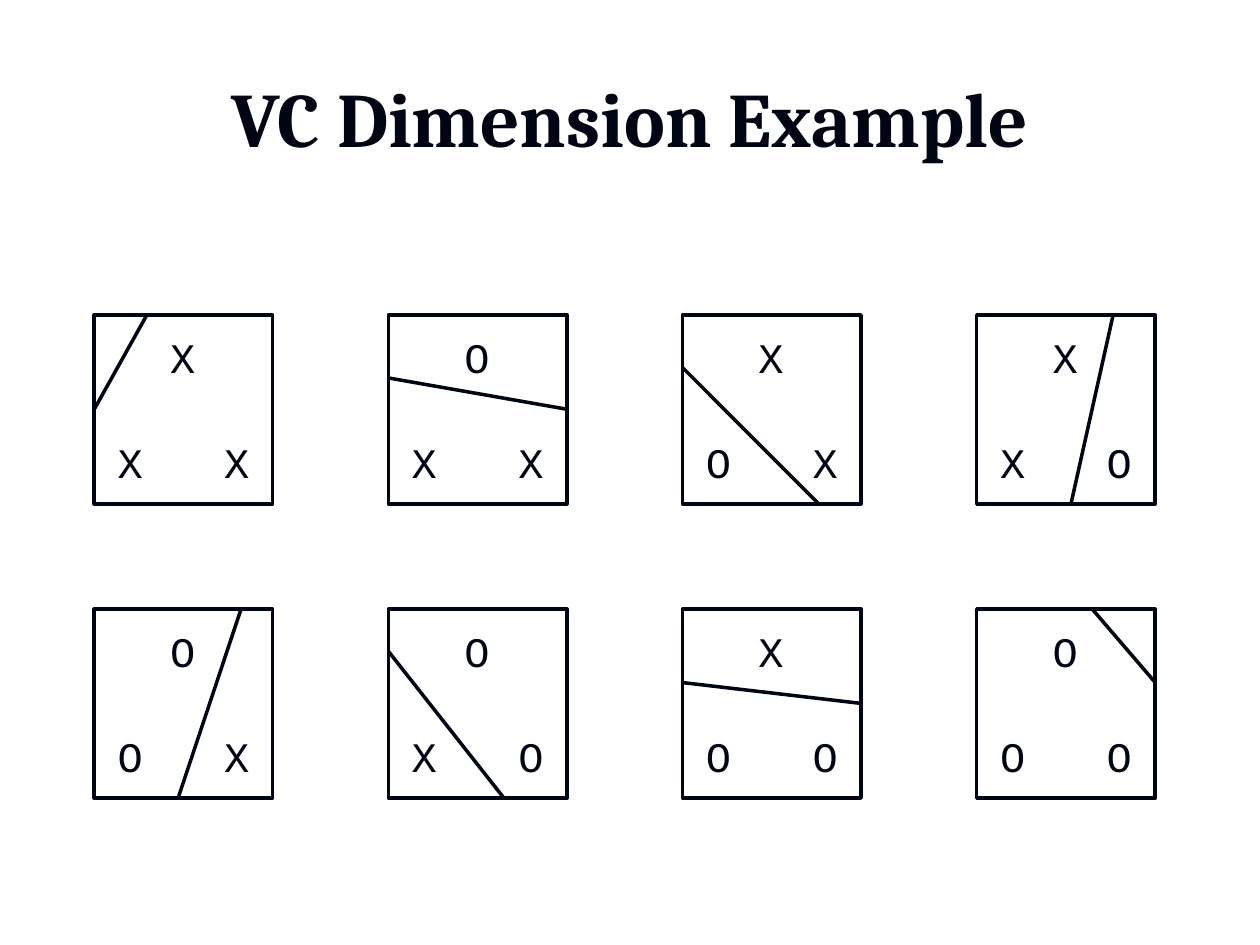
"""Build a slide showing how lines separate every labelling of three points."""
import dataclasses

import lxml.etree
import pptx
import pptx.dml.color
import pptx.enum.shapes
import pptx.enum.text
import pptx.oxml.ns
import pptx.util

Cm = pptx.util.Cm


@dataclasses.dataclass(frozen=True)
class Theme:
    ink: pptx.dml.color.RGBColor = pptx.dml.color.RGBColor(0x00, 0x05, 0x14)
    title_font: str = "Cambria"
    label_font: str = "Courier New"
    title_size: int = 44
    label_size: int = 24
    line_width: int = 2


class Board:
    def __init__(self, slide, theme):
        self.shapes = slide.shapes
        self.theme = theme

    def style_line(self, line):
        line.color.rgb = self.theme.ink
        line.width = pptx.util.Pt(self.theme.line_width)

    def text(self, wording, left, top, width, height, font, size):
        box = self.shapes.add_textbox(Cm(left), Cm(top), Cm(width), Cm(height))
        frame = box.text_frame
        frame.text = wording
        run_font = frame.paragraphs[0].runs[0].font
        run_font.name = font
        run_font.size = pptx.util.Pt(size)
        run_font.color.rgb = self.theme.ink
        return frame

    def title(self, wording, left, top, width, height):
        frame = self.text(wording, left, top, width, height,
                          self.theme.title_font, self.theme.title_size)
        frame.word_wrap = True
        frame.vertical_anchor = pptx.enum.text.MSO_ANCHOR.MIDDLE
        heading = frame.paragraphs[0]
        heading.alignment = pptx.enum.text.PP_ALIGN.CENTER
        heading.runs[0].font.bold = True

    def label(self, letter, left, top):
        frame = self.text(letter, left, top, 1.02, 1.27,
                          self.theme.label_font, self.theme.label_size)
        frame.word_wrap = False
        frame.auto_size = pptx.enum.text.MSO_AUTO_SIZE.SHAPE_TO_FIT_TEXT

    def square(self, left, top, width, height):
        square = self.shapes.add_shape(
            pptx.enum.shapes.MSO_SHAPE.RECTANGLE,
            Cm(left), Cm(top), Cm(width), Cm(height))
        square.shadow.inherit = False
        square.fill.background()
        self.style_line(square.line)

    def separator(self, x1, y1, x2, y2):
        separator = self.shapes.add_connector(
            pptx.enum.shapes.MSO_CONNECTOR.STRAIGHT,
            Cm(x1), Cm(y1), Cm(x2), Cm(y2))
        self.style_line(separator.line)
        lxml.etree.SubElement(separator.element.spPr,
                              pptx.oxml.ns.qn("a:effectLst"))


PANEL_WIDTH, PANEL_HEIGHT = 3.6, 3.81
GRID_LEFT, GRID_TOP, PITCH, COLUMNS = 1.9, 6.35, 5.93, 4
POINTS = [(1.28, 0.21), (0.22, 2.33), (2.37, 2.33)]
LABELLINGS = [
    ("XXX", (1.06, 0, 0, 1.9)),
    ("OXX", (0, 1.27, PANEL_WIDTH, 1.9)),
    ("XOX", (0, 1.06, 2.75, PANEL_HEIGHT)),
    ("XXO", (1.9, PANEL_HEIGHT, 2.75, 0)),
    ("OOX", (2.96, 0, 1.69, PANEL_HEIGHT)),
    ("OXO", (0, 0.85, 2.33, PANEL_HEIGHT)),
    ("XOO", (0, 1.48, PANEL_WIDTH, 1.9)),
    ("OOO", (2.33, 0, PANEL_WIDTH, 1.48)),
]


def main():
    deck = pptx.Presentation()
    deck.slide_width, deck.slide_height = Cm(25.4), Cm(19.05)
    board = Board(deck.slides.add_slide(deck.slide_layouts[6]), Theme())
    board.title("VC Dimension Example", 1.27, 0.76, 22.86, 3.18)
    for index, (letters, (x1, y1, x2, y2)) in enumerate(LABELLINGS):
        row, column = divmod(index, COLUMNS)
        left, top = GRID_LEFT + column * PITCH, GRID_TOP + row * PITCH
        board.square(left, top, PANEL_WIDTH, PANEL_HEIGHT)
        for letter, (dx, dy) in zip(letters, POINTS):
            board.label(letter, left + dx, top + dy)
        board.separator(left + x1, top + y1, left + x2, top + y2)
    deck.save("out.pptx")


if __name__ == "__main__":
    main()
